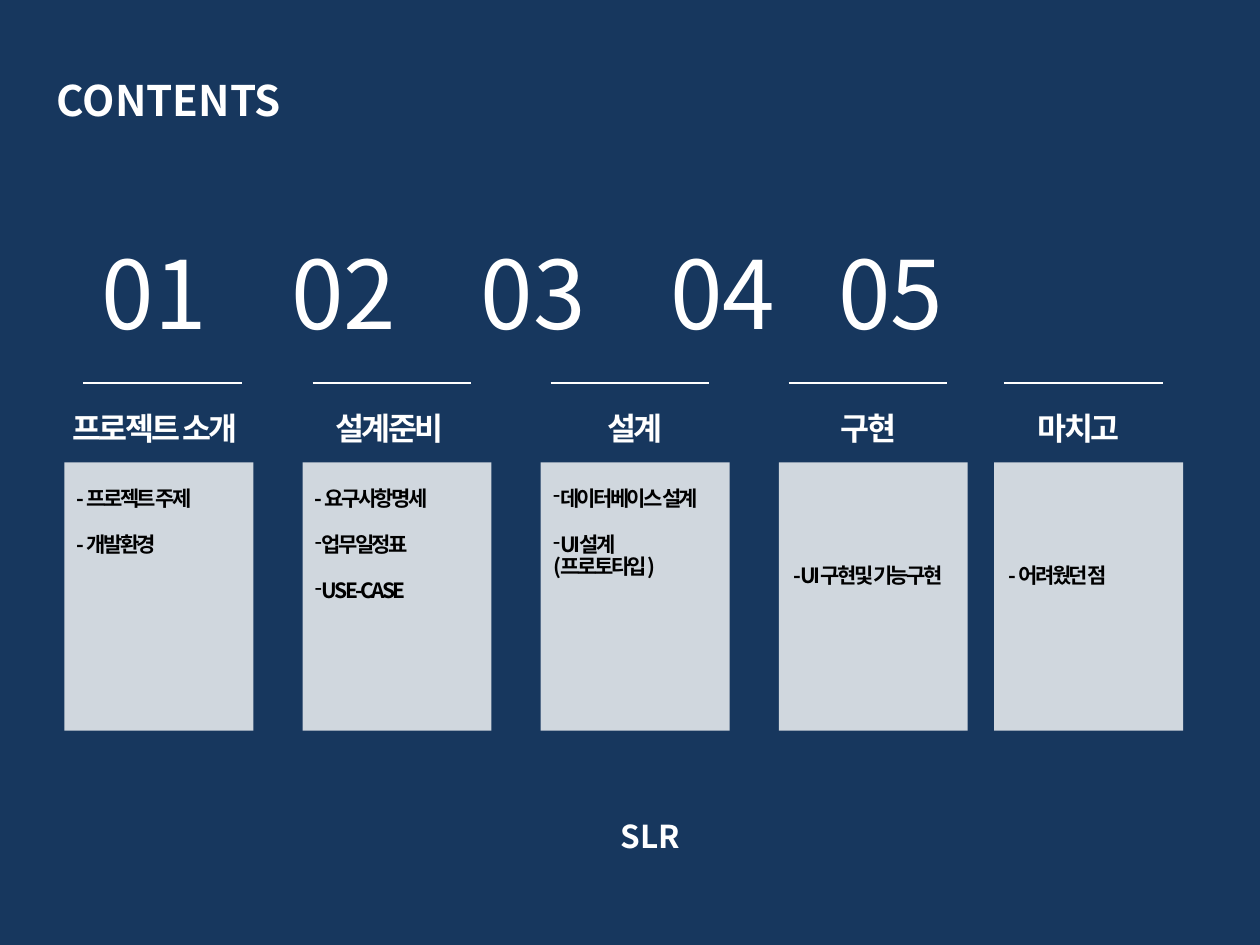
from lxml import etree
from pptx import Presentation
from pptx import util as u
from pptx.dml import color
from pptx.enum import shapes, text
from pptx.oxml import ns

SANS = "Noto Sans CJK KR"
CARD_WIDTH, CARD_HEIGHT, CARD_TOP = 3.81, 5.41, 9.32
CARD_LEFT, CARD_STEP = 1.3, 4.8
NUMBERS = ["01", "02", "03", "04", "05"]
NUMBER_TABS = [3.82, 7.64, 11.46, 14.85]

TOP_ITEMS = (0, 0.41)
MIDDLE_ITEMS = (0.05, 1.96)
COLUMNS = [
    (CARD_LEFT, 0.38, "프로젝트 소개", -0.08, TOP_ITEMS,
     [("- 프로젝트 주제", False), ("- 개발환경", False)]),
    (CARD_LEFT + CARD_STEP, 0.2, "설계준비", -0.15, TOP_ITEMS,
     [("- 요구사항명세", False), ("업무일정표", True), ("USE-CASE", True)]),
    (CARD_LEFT + 2 * CARD_STEP, 0.2, "설계", -0.01, TOP_ITEMS,
     [("데이터베이스 설계", True), ("UI설계\v(프로토타입)", True)]),
    (CARD_LEFT + 3 * CARD_STEP, 0.2, "구현", -0.1, MIDDLE_ITEMS,
     [("- UI구현및 기능구현", False)]),
    (20.04, 0.2, "마치고", -0.2, MIDDLE_ITEMS,
     [("- 어려웠던 점", False)]),
]


def rgb(value):
    return color.RGBColor.from_string(value)


def add_before_defaults(paragraph, tag):
    element = etree.Element(ns.qn(tag))
    paragraph._p.pPr.find(ns.qn("a:defRPr")).addprevious(element)
    return element


def format_paragraph(paragraph, size, fill="FFFFFF", bold=True, font=SANS,
                     align=text.PP_ALIGN.LEFT, spacing=None):
    paragraph.alignment = align
    paragraph.font.size = u.Pt(size)
    paragraph.font.bold = bold
    paragraph.font.color.rgb = rgb(fill)
    paragraph.font.name = font
    defaults = paragraph._p.pPr.find(ns.qn("a:defRPr"))
    if font == SANS:
        paragraph.line_spacing = 0.86
        etree.SubElement(defaults, ns.qn("a:ea")).set("typeface", font)
    if spacing is not None:
        defaults.set("spc", str(int(spacing * 100)))


def add_text(slide, left, top, width, height):
    shape = slide.shapes.add_textbox(u.Cm(left), u.Cm(top), u.Cm(width), u.Cm(height))
    shape.text_frame.word_wrap = True
    return shape.text_frame


def add_title(slide, left, top, width, height):
    title = slide.shapes.title
    title.left, title.top = u.Cm(left), u.Cm(top)
    title.width, title.height = u.Cm(width), u.Cm(height)
    frame = title.text_frame
    frame.text = "CONTENTS"
    frame.vertical_anchor = text.MSO_ANCHOR.TOP
    frame.auto_size = text.MSO_AUTO_SIZE.NONE
    format_paragraph(frame.paragraphs[0], 24)


def add_numbers(slide, left, top, width, height):
    paragraph = add_text(slide, left, top, width, height).paragraphs[0]
    paragraph.text = "\t".join(NUMBERS)
    format_paragraph(paragraph, 54, bold=False)
    tabs = add_before_defaults(paragraph, "a:tabLst")
    for position in NUMBER_TABS:
        tab = etree.SubElement(tabs, ns.qn("a:tab"))
        tab.set("pos", str(int(u.Cm(position))))
        tab.set("algn", "l")


def add_card(slide, left, top):
    card = slide.shapes.add_shape(shapes.MSO_SHAPE.RECTANGLE, u.Cm(left), u.Cm(top),
                                  u.Cm(CARD_WIDTH), u.Cm(CARD_HEIGHT))
    card.shadow.inherit = False
    card.line.fill.background()
    card.fill.solid()
    card.fill.fore_color.rgb = rgb("FFFFFF")
    fill = card._element.spPr.find(ns.qn("a:solidFill"))
    etree.SubElement(fill[0], ns.qn("a:alpha")).set("val", "80000")


def add_rule(slide, left, top, width):
    rule = slide.shapes.add_connector(shapes.MSO_CONNECTOR.STRAIGHT, u.Cm(left), u.Cm(top),
                                      u.Cm(left + width), u.Cm(top))
    rule.line.color.rgb = rgb("FFFFFF")
    rule.line.width = u.Pt(0.75)
    etree.SubElement(rule._element.spPr, ns.qn("a:effectLst"))


def add_items(slide, left, top, items):
    frame = add_text(slide, left, top, CARD_WIDTH, 0.77)
    for index, (item, bulleted) in enumerate(items):
        paragraph = frame.add_paragraph() if index else frame.paragraphs[0]
        paragraph.text = item
        format_paragraph(paragraph, 12, fill="000000", spacing=-1.5)
        if index:
            paragraph.space_before = u.Pt(14)
        if bulleted:
            add_before_defaults(paragraph, "a:buChar").set("char", "-")


def add_column(slide, left, top, rule_shift, heading, heading_shift, items_shift, items):
    add_card(slide, left, top)
    add_rule(slide, left + rule_shift, top - 1.6, 3.2)
    heading_width = 4.6
    heading_left = left + (CARD_WIDTH - heading_width) / 2 + heading_shift
    paragraph = add_text(slide, heading_left, top - 1.19, heading_width, 1.02).paragraphs[0]
    paragraph.text = heading
    format_paragraph(paragraph, 18, font="Arial", align=text.PP_ALIGN.CENTER, spacing=-1.5)
    add_items(slide, left + items_shift[0], top + items_shift[1], items)


def add_footer(slide, left, top, width, height):
    paragraph = add_text(slide, left, top, width, height).paragraphs[0]
    paragraph.text = "SLR"
    format_paragraph(paragraph, 18, align=text.PP_ALIGN.CENTER)


def main():
    presentation = Presentation()
    presentation.slide_width, presentation.slide_height = u.Cm(25.4), u.Cm(19.05)
    slide = presentation.slides.add_slide(presentation.slide_layouts[5])
    slide.background.fill.solid()
    slide.background.fill.fore_color.rgb = rgb("17375E")
    add_title(slide, 0.89, 1.52, 11.61, 1.28)
    add_numbers(slide, 1.8, 4.95, 23.6, 2.57)
    for left, *content in COLUMNS:
        add_column(slide, left, CARD_TOP, *content)
    add_footer(slide, 8.1, 16.46, 10.01, 1.03)
    presentation.save("out.pptx")


if __name__ == "__main__":
    main()
